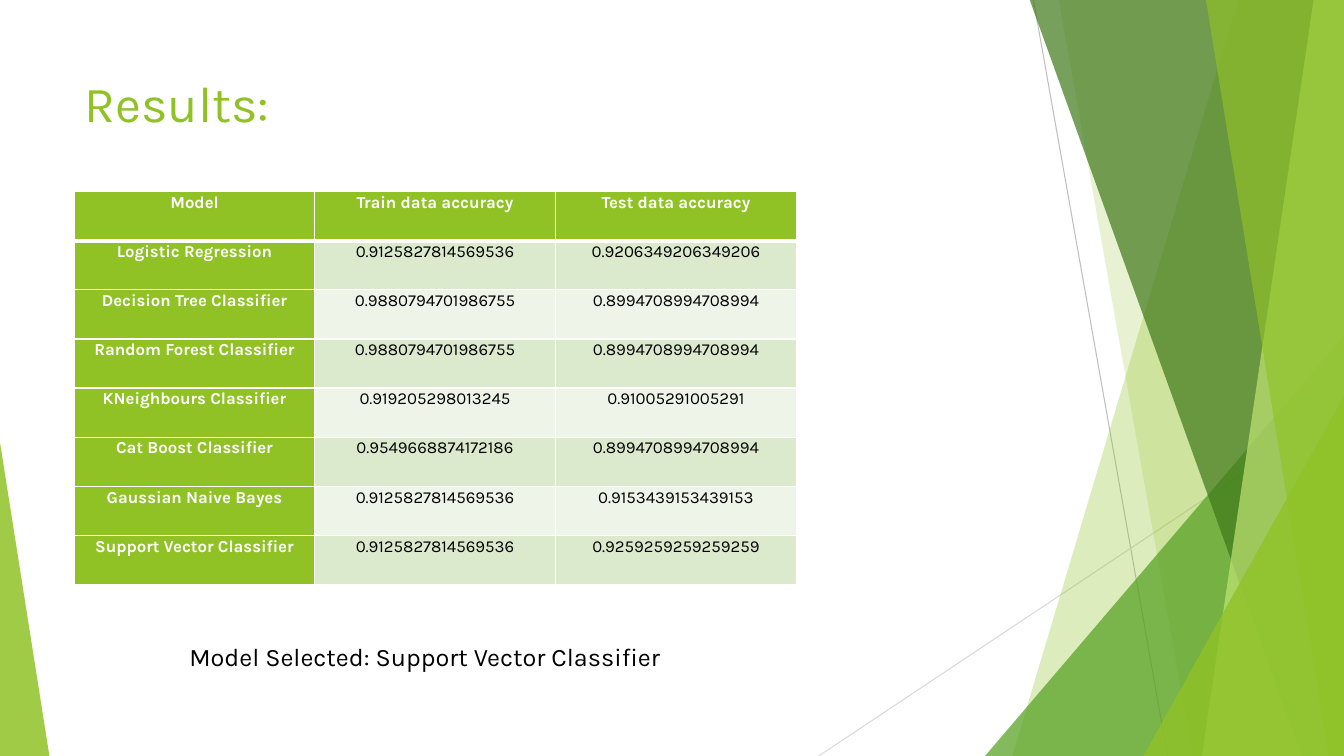
from lxml import etree
from pptx import Presentation
from pptx import util as u
from pptx.dml.color import RGBColor
from pptx.enum import shapes, text
from pptx.oxml import ns

WHITE = RGBColor(0xFF, 0xFF, 0xFF)
BLACK = RGBColor(0x00, 0x00, 0x00)
LIME = RGBColor(0x90, 0xC2, 0x26)
PALE_LIME = RGBColor(0xC0, 0xE4, 0x74)
GREEN = RGBColor(0x54, 0xA0, 0x21)
DARK_GREEN = RGBColor(0x3F, 0x78, 0x19)
BAND_DARK = RGBColor(0xDB, 0xE9, 0xCD)
BAND_LIGHT = RGBColor(0xEE, 0xF4, 0xE8)
GREY = RGBColor(0xBF, 0xBF, 0xBF)
LIGHT_GREY = RGBColor(0xD9, 0xD9, 0xD9)

WIDTH, HEIGHT, TOP = 13.33, 7.5, -0.01

RESULTS = [
    ("Model", "Train data accuracy", "Test data accuracy"),
    ("Logistic Regression", "0.9125827814569536", "0.9206349206349206"),
    ("Decision Tree Classifier", "0.9880794701986755", "0.8994708994708994"),
    ("Random Forest Classifier", "0.9880794701986755", "0.8994708994708994"),
    ("KNeighbours Classifier", "0.919205298013245", "0.91005291005291"),
    ("Cat Boost Classifier", "0.9549668874172186", "0.8994708994708994"),
    ("Gaussian Naive Bayes", "0.9125827814569536", "0.9153439153439153"),
    ("Support Vector Classifier", "0.9125827814569536", "0.9259259259259259"),
]


class SlideBuilder:
    font = "Karla"

    def __init__(self, slide):
        self.slide = slide

    def line(self, start, end, color):
        points = [u.Inches(value) for value in (*start, *end)]
        connector = self.slide.shapes.add_connector(shapes.MSO_CONNECTOR.STRAIGHT, *points)
        connector.line.color.rgb = color
        connector.line.width = u.Pt(0.75)
        etree.SubElement(connector._element.spPr, ns.qn("a:effectLst"))

    def paint(self, shape, color, opacity):
        shape.shadow.inherit = False
        shape.line.fill.background()
        shape.fill.solid()
        shape.fill.fore_color.rgb = color
        color_node = shape._element.spPr.find(ns.qn("a:solidFill"))[0]
        etree.SubElement(color_node, ns.qn("a:alpha"), val=str(opacity * 1000))

    def ribbon(self, top_left, bottom_left, color, opacity):
        corners = [(top_left, TOP), (WIDTH, TOP), (WIDTH, HEIGHT), (bottom_left, HEIGHT)]
        points = [(u.Inches(x), u.Inches(y)) for x, y in corners]
        builder = self.slide.shapes.build_freeform(*points[0])
        builder.add_line_segments(points[1:], close=True)
        self.paint(builder.convert_to_shape(), color, opacity)

    def triangle(self, left, top, width, peak, color, opacity):
        box = [u.Inches(value) for value in (left, top, width, HEIGHT - top)]
        shape = self.slide.shapes.add_shape(shapes.MSO_SHAPE.ISOSCELES_TRIANGLE, *box)
        shape.adjustments[0] = peak
        self.paint(shape, color, opacity)

    def run(self, paragraph, content, size, color, bold=False):
        run = paragraph.add_run()
        run.text = content
        run.font.name = self.font
        run.font.size = u.Pt(size)
        run.font.bold = bold
        run.font.color.rgb = color

    def textbox(self, box, content, size, color):
        frame = self.slide.shapes.add_textbox(*map(u.Inches, box)).text_frame
        frame.word_wrap = True
        self.run(frame.paragraphs[0], content, size, color)

    def border(self, cell, side, width):
        properties = cell._tc.get_or_add_tcPr()
        edge = etree.SubElement(properties, ns.qn(f"a:ln{side}"), w=str(u.Pt(width)))
        fill = etree.SubElement(edge, ns.qn("a:solidFill"))
        etree.SubElement(fill, ns.qn("a:srgbClr"), val=str(WHITE))

    def cell(self, cell, content, fill, color, bold, top_width, bottom_width):
        for side, width in zip("LRTB", (1, 1, top_width, bottom_width)):
            self.border(cell, side, width)
        cell.fill.solid()
        cell.fill.fore_color.rgb = fill
        cell.margin_left = cell.margin_right = u.Inches(0.07)
        cell.margin_top = cell.margin_bottom = 0
        paragraph = cell.text_frame.paragraphs[0]
        paragraph.alignment = text.PP_ALIGN.CENTER
        paragraph.line_spacing = 1.07
        self.run(paragraph, content, 12, color, bold)

    def table(self, box, widths, rows):
        frame = self.slide.shapes.add_table(len(rows), len(widths), *map(u.Inches, box))
        table = frame.table
        for column, width in zip(table.columns, widths):
            column.width = u.Inches(width)
        for r, row in enumerate(rows):
            table.rows[r].height = u.Inches(box[3] / len(rows))
            band = BAND_DARK if r % 2 else BAND_LIGHT
            for c, content in enumerate(row):
                heading = r == 0 or c == 0
                fill, color = (LIME, WHITE) if heading else (band, BLACK)
                self.cell(table.cell(r, c), content, fill, color, heading,
                          3 if r == 1 else 1, 3 if r == 0 else 1)


def main():
    presentation = Presentation()
    presentation.slide_width = u.Inches(WIDTH)
    presentation.slide_height = u.Inches(HEIGHT)
    builder = SlideBuilder(presentation.slides.add_slide(presentation.slide_layouts[6]))

    builder.line((10.25, 0), (11.58, HEIGHT), GREY)
    builder.line((WIDTH, 4.03), (8.12, HEIGHT), LIGHT_GREY)
    builder.ribbon(12.28, 10.04, LIME, 30)
    builder.ribbon(10.5, 11.83, LIME, 20)
    builder.triangle(9.77, 3.33, 3.56, 1, GREEN, 72)
    builder.ribbon(10.21, 12.91, DARK_GREEN, 70)
    builder.ribbon(13.03, 11.92, PALE_LIME, 70)
    builder.ribbon(11.96, 13.18, LIME, 65)
    builder.triangle(11.34, 3.93, 1.99, 1, LIME, 80)
    builder.triangle(0, 4.39, 0.49, 0, LIME, 85)

    builder.textbox((0.74, 0.67, 9.4, 1.44), "Results:", 36, LIME)
    builder.table((0.74, 1.9, 7.16, 3.9), (2.38, 2.39, 2.39), RESULTS)
    builder.textbox((1.78, 6.31, 5.13, 0.4),
                    "Model Selected: Support Vector Classifier", 18, BLACK)
    presentation.save("out.pptx")


if __name__ == "__main__":
    main()
